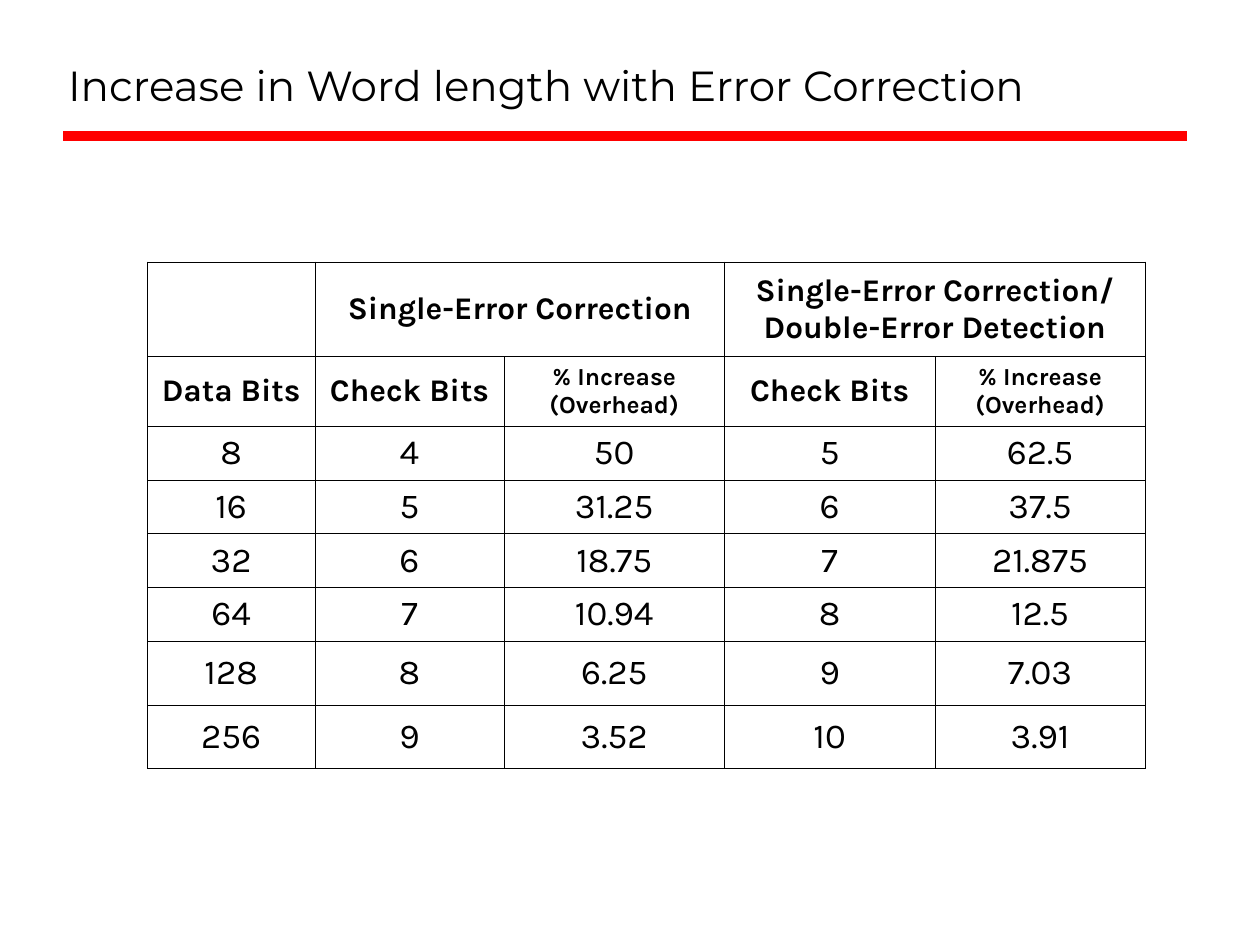
from dataclasses import dataclass

import lxml.etree
import pptx
import pptx.dml.color
import pptx.enum.shapes
import pptx.enum.text
import pptx.oxml.ns
import pptx.slide
import pptx.table
import pptx.text.text
import pptx.util
from pptx.util import Inches

BLACK = pptx.dml.color.RGBColor(0x00, 0x00, 0x00)
RED = pptx.dml.color.RGBColor(0xFF, 0x00, 0x00)
TITLE_FONT = "Montserrat"
TABLE_FONT = "Karla"
BORDER_WIDTH = pptx.util.Pt(0.45)
CELL_MARGIN = Inches(0.05)
COLUMN_WIDTHS = (1.33, 1.5, 1.75, 1.67, 1.67)
ROW_HEIGHTS = (0.75, 0.5, 0.42, 0.33, 0.38, 0.36, 0.51, 0.5)


@dataclass(frozen=True)
class Heading:
    text: str
    row: int
    column: int
    columns: int = 1
    size: float = 18


HEADINGS = (
    Heading("Single-Error Correction", 0, 1, columns=2),
    Heading("Single-Error Correction/ Double-Error Detection", 0, 3, columns=2),
    Heading("Data Bits", 1, 0),
    Heading("Check Bits", 1, 1),
    Heading("% Increase (Overhead)", 1, 2, size=14),
    Heading("Check Bits", 1, 3),
    Heading("% Increase (Overhead)", 1, 4, size=14),
)

OVERHEADS = (
    ("8", "4", "50", "5", "62.5"),
    ("16", "5", "31.25", "6", "37.5"),
    ("32", "6", "18.75", "7", "21.875"),
    ("64", "7", "10.94", "8", "12.5"),
    ("128", "8", "6.25", "9", "7.03"),
    ("256", "9", "3.52", "10", "3.91"),
)


def write_text(
    frame: pptx.text.text.TextFrame,
    text: str,
    *,
    font: str = TABLE_FONT,
    size: float = 20,
    bold: bool = False,
    align: pptx.enum.text.PP_ALIGN = pptx.enum.text.PP_ALIGN.CENTER,
) -> None:
    para = frame.paragraphs[0]
    para.alignment = align
    span = para.add_run()
    span.text = text
    span.font.name = font
    span.font.size = pptx.util.Pt(size)
    span.font.bold = bold
    span.font.color.rgb = BLACK


def style_cell(cell: pptx.table._Cell) -> None:
    cell.margin_left = cell.margin_right = CELL_MARGIN
    cell.margin_top = cell.margin_bottom = CELL_MARGIN
    cell.vertical_anchor = pptx.enum.text.MSO_ANCHOR.MIDDLE
    properties = cell._tc.get_or_add_tcPr()
    qn = pptx.oxml.ns.qn
    for side in ("a:lnL", "a:lnR", "a:lnT", "a:lnB"):
        border = lxml.etree.SubElement(properties, qn(side), w=str(BORDER_WIDTH))
        fill = lxml.etree.SubElement(border, qn("a:solidFill"))
        lxml.etree.SubElement(fill, qn("a:srgbClr"), val=str(BLACK))
    cell.fill.background()


def add_title(page: pptx.slide.Slide, text: str) -> None:
    box = page.shapes.title
    box.left, box.top = Inches(0.44), Inches(0.42)
    box.width, box.height = Inches(8.97), Inches(0.5)
    frame = box.text_frame
    frame.word_wrap = True
    frame.auto_size = pptx.enum.text.MSO_AUTO_SIZE.NONE
    frame.vertical_anchor = pptx.enum.text.MSO_ANCHOR.BOTTOM
    write_text(frame, text, font=TITLE_FONT, size=24, align=pptx.enum.text.PP_ALIGN.LEFT)


def add_rule(page: pptx.slide.Slide) -> None:
    rule = page.shapes.add_connector(
        pptx.enum.shapes.MSO_CONNECTOR.STRAIGHT,
        Inches(0.5), Inches(1.08), Inches(9.42), Inches(1.08),
    )
    rule.line.color.rgb = RED
    rule.line.width = pptx.util.Pt(6)
    lxml.etree.SubElement(rule._element.spPr, pptx.oxml.ns.qn("a:effectLst"))


def add_overhead_table(page: pptx.slide.Slide) -> None:
    table = page.shapes.add_table(
        len(ROW_HEIGHTS), len(COLUMN_WIDTHS),
        Inches(1.17), Inches(2.08),
        Inches(sum(COLUMN_WIDTHS)), Inches(sum(ROW_HEIGHTS)),
    ).table
    table.first_row = table.horz_banding = False
    for column, width in zip(table.columns, COLUMN_WIDTHS):
        column.width = Inches(width)
    for row, height in zip(table.rows, ROW_HEIGHTS):
        row.height = Inches(height)
    for cell in table.iter_cells():
        style_cell(cell)
    for heading in HEADINGS:
        cell = table.cell(heading.row, heading.column)
        if heading.columns > 1:
            cell.merge(table.cell(heading.row, heading.column + heading.columns - 1))
        write_text(cell.text_frame, heading.text, size=heading.size, bold=True)
    for row, values in enumerate(OVERHEADS, start=2):
        for column, value in enumerate(values):
            write_text(table.cell(row, column).text_frame, value)


def main() -> None:
    deck = pptx.Presentation()
    deck.slide_width, deck.slide_height = Inches(10), Inches(7.5)
    page = deck.slides.add_slide(deck.slide_layouts.get_by_name("Title Only"))
    add_rule(page)
    add_title(page, "Increase in Word length with Error Correction")
    add_overhead_table(page)
    deck.save("out.pptx")


if __name__ == "__main__":
    main()
